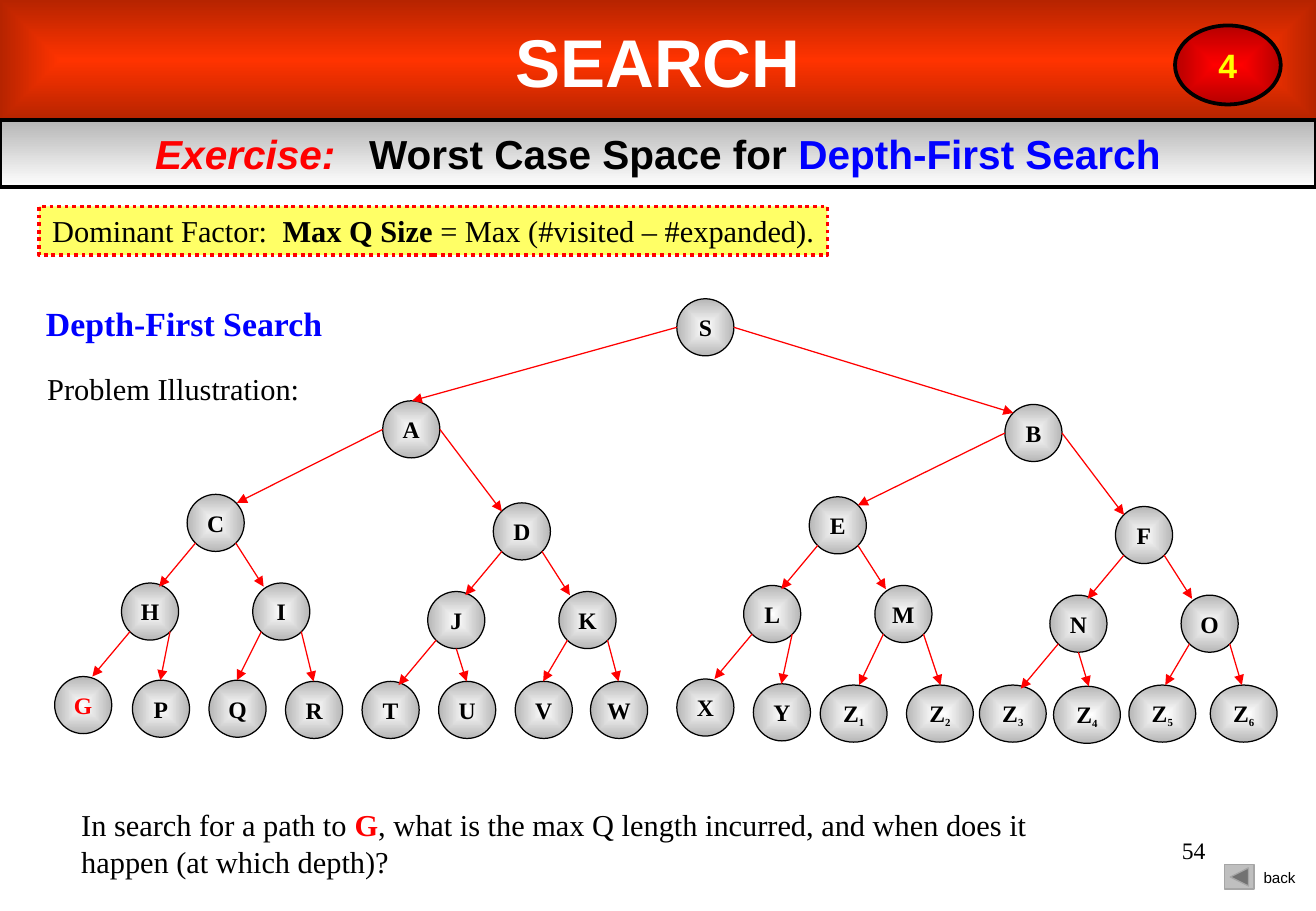
from dataclasses import dataclass
from pptx import Presentation
from pptx.dml.color import RGBColor
from pptx.enum.dml import MSO_LINE
from pptx.enum.shapes import MSO_CONNECTOR, MSO_SHAPE
from pptx.enum.text import MSO_ANCHOR, PP_ALIGN
from pptx.oxml import parse_xml
from pptx.oxml.ns import nsdecls, qn
from pptx.util import Inches, Pt

RECT, OVAL = MSO_SHAPE.RECTANGLE, MSO_SHAPE.OVAL
BACK = MSO_SHAPE.ACTION_BUTTON_BACK_OR_PREVIOUS
STRAIGHT, DOTTED = MSO_CONNECTOR.STRAIGHT, MSO_LINE.ROUND_DOT
LEFT, CENTER, RIGHT = PP_ALIGN.LEFT, PP_ALIGN.CENTER, PP_ALIGN.RIGHT
TOP, MIDDLE = MSO_ANCHOR.TOP, MSO_ANCHOR.MIDDLE
SANS, SERIF = "Arial", "Times New Roman"
BLACK, WHITE, RED, BLUE, YELLOW = "000000", "FFFFFF", "FF0000", "0000FF", "FFFF00"
SLIDE_W, SLIDE_H = 10.83, 7.5
NODE = 0.47
PORTS = {"W": (0, 0.5), "E": (1, 0.5), "SW": (0.15, 0.85), "SE": (0.85, 0.85), "S": (0.5, 1)}


@dataclass
class Node:
    label: str
    left: float
    top: float
    parent: str = ""
    port: str = ""
    end: tuple[float, float] = (0.23, 0)
    width: float = NODE
    sub: str = ""
    color: str = BLACK


def branch(parent: str, left: float, top: float, first: str, second: str) -> list[Node]:
    return [Node(first, left - 0.54, top + 0.73, parent, "SW", (0.31, 0.03)),
            Node(second, left + 0.54, top + 0.73, parent, "SE", (0.09, 0.03))]


NODES = [
    Node("S", 5.57, 2.46),
    Node("A", 3.15, 3.3, "S", "W", (0.24, 0)),
    Node("B", 8.27, 3.33, "S", "E", (0.07, 0.07)),
    Node("C", 1.54, 4.07, "A", "W", (0.41, 0.07)),
    Node("D", 4.06, 4.14, "A", "E", (0.07, 0.07)),
    Node("E", 6.66, 4.09, "B", "W", (0.4, 0.07)),
    Node("F", 9.18, 4.17, "B", "E", (0.07, 0.07)),
    *branch("C", 1.54, 4.07, "H", "I"),
    *branch("D", 4.06, 4.14, "J", "K"),
    *branch("E", 6.66, 4.09, "L", "M"),
    *branch("F", 9.18, 4.17, "N", "O"),
    Node("G", 0.45, 5.57, "H", "SW", (0.31, 0), color=RED),
    Node("P", 1.09, 5.6, "H", "SE"),
    Node("Q", 1.72, 5.6, "I", "SW"),
    Node("R", 2.35, 5.61, "I", "SE"),
    Node("T", 2.98, 5.61, "J", "SW", (0.3, 0.03)),
    Node("U", 3.61, 5.61, "J", "S"),
    Node("V", 4.24, 5.61, "K", "SW"),
    Node("W", 4.86, 5.61, "K", "SE"),
    Node("X", 5.57, 5.59, "L", "SW", (0.31, 0)),
    Node("Y", 6.2, 5.63, "L", "SE"),
    Node("Z", 6.75, 5.64, "M", "SW", (0.32, 0), 0.55, "1"),
    Node("Z", 7.46, 5.64, "M", "SE", (0.28, 0), 0.55, "2"),
    Node("Z", 8.06, 5.64, "N", "SW", (0.34, 0.03), 0.55, "3"),
    Node("Z", 8.67, 5.65, "N", "S", (0.29, 0), 0.55, "4"),
    Node("Z", 9.29, 5.64, "O", "SW", (0.3, 0), 0.55, "5"),
    Node("Z", 9.96, 5.64, "O", "SE", (0.26, 0), 0.55, "6"),
]


def rgb(color: str) -> RGBColor:
    return RGBColor.from_string(color)


def add_run(p, text: str, *, font: str = SERIF, size: float = 18, color: str = BLACK,
            bold: bool = False, italic: bool = False, baseline: int = 0, spacing: float = 0) -> None:
    r = p.add_run()
    r.text = text
    r.font.name, r.font.size = font, Pt(size)
    r.font.bold, r.font.italic = bold, italic
    r.font.color.rgb = rgb(color)
    if baseline:
        r.font._element.set("baseline", str(baseline * 1000))
    if spacing:
        r.font._element.set("spc", str(round(spacing * 100)))


def set_gradient(shape, start: str, end: str, linear: bool = False) -> None:
    shade = '<a:shade val="46275"/>'
    first, last = (shade, "") if linear else ("", shade)
    direction = ('<a:lin ang="5400000" scaled="1"/>' if linear else
                 '<a:path path="shape"><a:fillToRect l="50000" t="50000" r="50000" b="50000"/></a:path>')
    shape.fill.gradient()
    spPr = shape._element.spPr
    spPr.replace(spPr.find(qn("a:gradFill")), parse_xml(
        f'<a:gradFill rotWithShape="0" {nsdecls("a")}><a:gsLst>'
        f'<a:gs pos="0"><a:srgbClr val="{start}">{first}</a:srgbClr></a:gs>'
        f'<a:gs pos="100000"><a:srgbClr val="{end}">{last}</a:srgbClr></a:gs>'
        f'</a:gsLst>{direction}</a:gradFill>'))


def add_box(s, kind, left: float, top: float, width: float, height: float,
            line: str = BLACK, weight: float = 2.25):
    sp = s.shapes.add_shape(kind, Inches(left), Inches(top), Inches(width), Inches(height))
    sp.shadow.inherit = False
    sp.line.color.rgb, sp.line.width = rgb(line), Pt(weight)
    return sp


def paragraph(sp, align=CENTER, anchor=MIDDLE, wrap: bool = False, inset: float | None = None):
    tf = sp.text_frame
    tf.word_wrap, tf.vertical_anchor = wrap, anchor
    if inset is not None:
        tf.margin_left = tf.margin_right = tf.margin_top = tf.margin_bottom = Inches(inset)
    p = tf.paragraphs[0]
    p.alignment = align
    return p


def add_label(s, left: float, top: float, width: float, height: float, align=LEFT, wrap: bool = False):
    sp = s.shapes.add_textbox(Inches(left), Inches(top), Inches(width), Inches(height))
    return paragraph(sp, align, TOP, wrap)


def add_arrow(s, x1: float, y1: float, x2: float, y2: float) -> None:
    line = s.shapes.add_connector(STRAIGHT, Inches(x1), Inches(y1), Inches(x2), Inches(y2))
    line.line.color.rgb, line.line.width = rgb(RED), Pt(0.75)
    line.line._get_or_add_ln().append(parse_xml(f'<a:tailEnd type="triangle" {nsdecls("a")}/>'))
    line._element.spPr.append(parse_xml(f'<a:effectLst {nsdecls("a")}/>'))


def add_node(s, node: Node) -> None:
    sp = add_box(s, OVAL, node.left, node.top, node.width, NODE, weight=0.75)
    set_gradient(sp, WHITE, WHITE)
    p = paragraph(sp, inset=0)
    add_run(p, node.label, size=14, bold=True, color=node.color)
    if node.sub:
        add_run(p, node.sub, size=11, bold=True, baseline=-25)


def add_tree(s) -> None:
    parents = {node.label: node for node in NODES}
    for node in NODES:
        add_node(s, node)
        if node.parent:
            parent = parents[node.parent]
            fx, fy = PORTS[node.port]
            add_arrow(s, parent.left + fx * NODE, parent.top + fy * NODE,
                      node.left + node.end[0], node.top + node.end[1])


def add_header(s) -> None:
    title = s.shapes.title
    title.left, title.top = Inches(0), Inches(0)
    title.width, title.height = Inches(SLIDE_W), Inches(0.99)
    set_gradient(title, "FF3300", "FF3300")
    add_run(paragraph(title, wrap=True), "SEARCH", font=SANS, size=40, color=WHITE, bold=True)

    banner = add_box(s, RECT, 0, 0.99, SLIDE_W, 0.55)
    set_gradient(banner, WHITE, WHITE, linear=True)
    p = paragraph(banner, wrap=True)
    heading = {"font": SANS, "size": 24, "bold": True}
    add_run(p, "Exercise:", color=RED, italic=True, **heading)
    add_run(p, " ", spacing=13.33, **heading)
    add_run(p, "Worst Case Space for ", **heading)
    add_run(p, "Depth-First Search", color=BLUE, **heading)

    badge = add_box(s, OVAL, 9.67, 0.21, 0.87, 0.65)
    set_gradient(badge, RED, RED)
    add_run(paragraph(badge), "4", font=SANS, size=20, color=YELLOW, bold=True)


def add_notes_on_search(s) -> None:
    factor = add_box(s, RECT, 0.32, 1.7, 6.49, 0.4, line=RED)
    factor.fill.solid()
    factor.fill.fore_color.rgb = rgb("FFFF66")
    factor.line.dash_style = DOTTED
    p = paragraph(factor)
    add_run(p, "Dominant Factor:")
    add_run(p, " ", spacing=4.5)
    add_run(p, "Max Q Size", bold=True)
    add_run(p, " = Max (#visited – #expanded).")

    add_run(add_label(s, 0.28, 2.44, 2.49, 0.44), "Depth-First Search", size=20, color=BLUE, bold=True)
    add_run(add_label(s, 0.29, 3, 2.3, 0.4), "Problem Illustration:")
    p = add_label(s, 0.57, 6.59, 8.48, 0.71, wrap=True)
    add_run(p, "In search for a path to ")
    add_run(p, "G", color=RED, bold=True)
    add_run(p, ", what is the max Q length incurred, and when does it happen (at which depth)?")


def add_footer(s) -> None:
    button = add_box(s, BACK, 10.08, 7.12, 0.24, 0.2, line="A6A6A6", weight=0.75)
    button.fill.solid()
    button.fill.fore_color.rgb = rgb("BFBFBF")
    add_run(add_label(s, 10.3, 7.1, 0.47, 0.25), "back", font=SANS, size=9)
    add_run(add_label(s, 7.76, 6.83, 2.26, 0.5, RIGHT, wrap=True), "54", size=14)


def main() -> None:
    prs = Presentation()
    prs.slide_width, prs.slide_height = Inches(SLIDE_W), Inches(SLIDE_H)
    s = prs.slides.add_slide(prs.slide_layouts[5])
    add_footer(s)
    add_header(s)
    add_notes_on_search(s)
    add_tree(s)
    prs.save("out.pptx")


if __name__ == "__main__":
    main()
